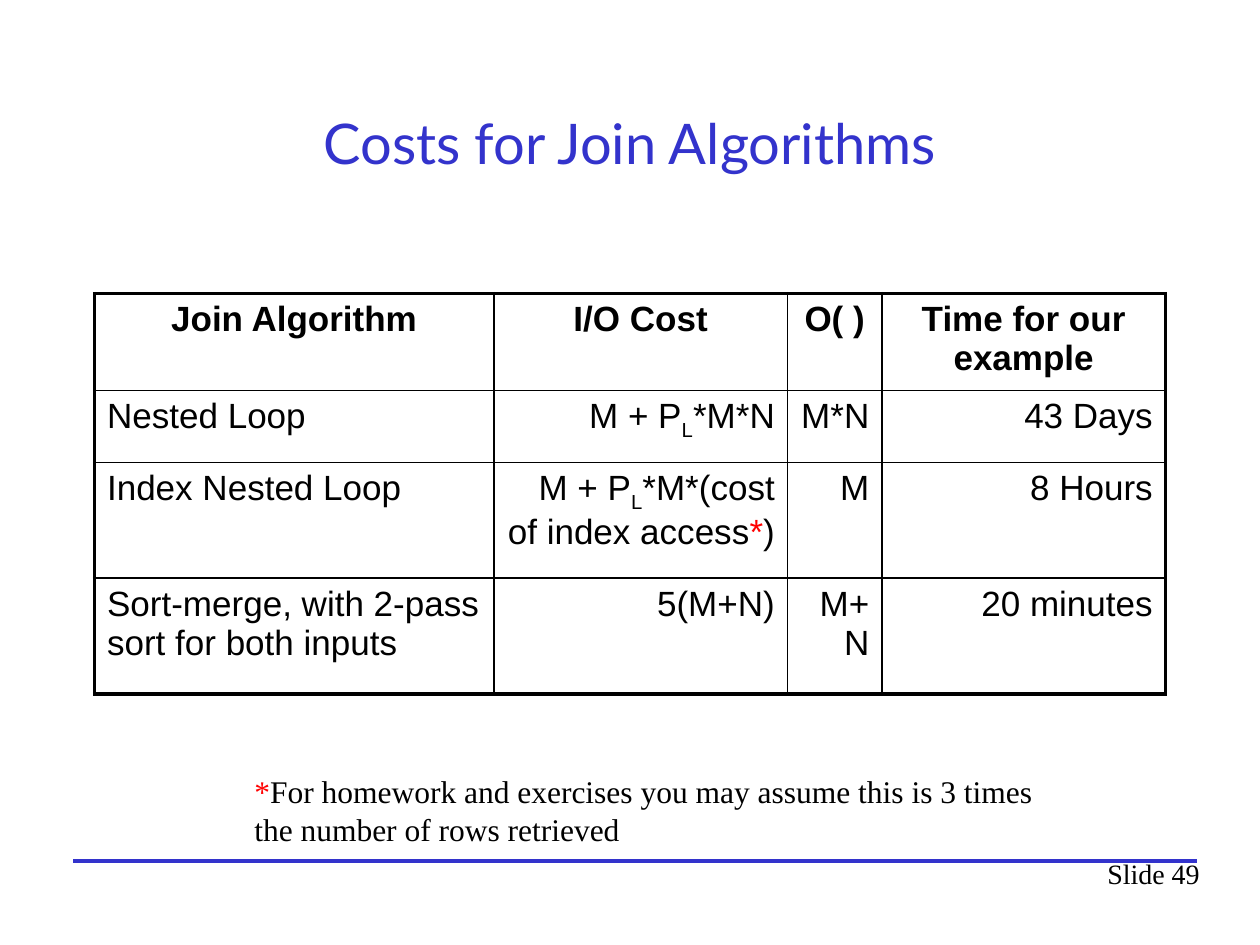
from lxml import etree
from pptx import Presentation
from pptx import util as u
from pptx.dml.color import RGBColor
from pptx.enum import shapes, text
from pptx.oxml.ns import qn

EMU_PER_PX = 9144  # 100 px to the inch
BLACK = RGBColor(0x00, 0x00, 0x00)
BLUE = RGBColor(0x33, 0x33, 0xCC)
RED = RGBColor(0xFF, 0x00, 0x00)
THIN, THICK = 1, 2.25
LEFT, CENTER, RIGHT = text.PP_ALIGN.LEFT, text.PP_ALIGN.CENTER, text.PP_ALIGN.RIGHT

STAR = ("*", {"color": RED})
SUB_L = ("L", {"baseline": -25000})
COLUMN_WIDTHS = [317, 233, 75, 225]
ROW_HEIGHTS = [77, 57, 92, 92]
COSTS = [
    ["Join Algorithm", "I/O Cost", "O( )", "Time for our example"],
    ["Nested Loop", ["M + P", SUB_L, "*M*N"], "M*N", "43 Days"],
    ["Index Nested Loop",
     ["M + P", SUB_L, "*M*(cost of index access", STAR, ")"], "M", "8 Hours"],
    ["Sort-merge, with 2-pass sort for both inputs", "5(M+N)", "M+N", "20 minutes"],
]


def px(*lengths):
    return [u.Emu(length * EMU_PER_PX) for length in lengths]


class SlideBuilder:
    def __init__(self, slide):
        self.slide = slide

    def add_runs(self, frame, content, align=LEFT, color=BLACK, **style):
        """Fill a frame with one paragraph of strings and (string, style) runs."""
        paragraph = frame.paragraphs[0]
        paragraph.alignment = align
        for part in [content] if isinstance(content, str) else content:
            words, extra = (part, {}) if isinstance(part, str) else part
            run = paragraph.add_run()
            run.text = words
            run.font.color.rgb = extra.get("color", color)
            for name, value in style.items():
                setattr(run.font, name, value)
            if "baseline" in extra:
                run.font._element.set("baseline", str(extra["baseline"]))

    def text(self, box, content, anchor=text.MSO_ANCHOR.TOP, **style):
        frame = self.slide.shapes.add_textbox(*px(*box)).text_frame
        frame.word_wrap = True
        frame.vertical_anchor = anchor
        self.add_runs(frame, content, **style)

    def line(self, start, end, color, width):
        rule = self.slide.shapes.add_connector(
            shapes.MSO_CONNECTOR.STRAIGHT, *px(*start, *end))
        rule.line.color.rgb = color
        rule.line.width = u.Pt(width)
        etree.SubElement(rule._element.spPr, qn("a:effectLst"))

    def border(self, cell, widths):
        """Draw the left, right, top and bottom edges of a cell."""
        properties = cell._tc.get_or_add_tcPr()
        for index, (side, width) in enumerate(zip("LRTB", widths)):
            edge = etree.Element(qn(f"a:ln{side}"), w=str(u.Pt(width)))
            fill = etree.SubElement(edge, qn("a:solidFill"))
            etree.SubElement(fill, qn("a:srgbClr"), val=str(BLACK))
            properties.insert(index, edge)

    def table(self, corner, widths, heights, rows, **style):
        last_row, last_column = len(heights) - 1, len(widths) - 1
        grid = self.slide.shapes.add_table(
            len(heights), len(widths), *px(*corner, sum(widths), sum(heights))).table
        grid.first_row = grid.horz_banding = False
        for column, width in zip(grid.columns, px(*widths)):
            column.width = width
        for row, height in zip(grid.rows, px(*heights)):
            row.height = height
        for r, row in enumerate(rows):
            for c, content in enumerate(row):
                cell = grid.cell(r, c)
                cell.fill.background()
                outer = (c == 0, c == last_column, r == 0, r == last_row)
                self.border(cell, [THICK if edge else THIN for edge in outer])
                align = CENTER if r == 0 else RIGHT if c else LEFT
                self.add_runs(cell.text_frame, content, align, bold=r == 0, **style)


def main():
    deck = Presentation()
    deck.slide_width, deck.slide_height = px(1000, 750)
    builder = SlideBuilder(deck.slides.add_slide(deck.slide_layouts[6]))

    builder.line((58, 683), (950, 683), BLUE, THICK)
    builder.text((869, 675, 98, 37), "Slide 49", name="Times New Roman", size=u.Pt(16))
    builder.text((75, 67, 850, 92), "Costs for Join Algorithms", text.MSO_ANCHOR.MIDDLE,
                 align=CENTER, color=BLUE, name="Lato", size=u.Pt(32))
    builder.table((75, 233), COLUMN_WIDTHS, ROW_HEIGHTS, COSTS, name="Arial", size=u.Pt(20))
    builder.text((192, 608, 658, 70),
                 [STAR, "For homework and exercises you may assume this is 3 times "
                        "the number of rows retrieved"],
                 name="Times New Roman", size=u.Pt(18))
    deck.save("out.pptx")


if __name__ == "__main__":
    main()
